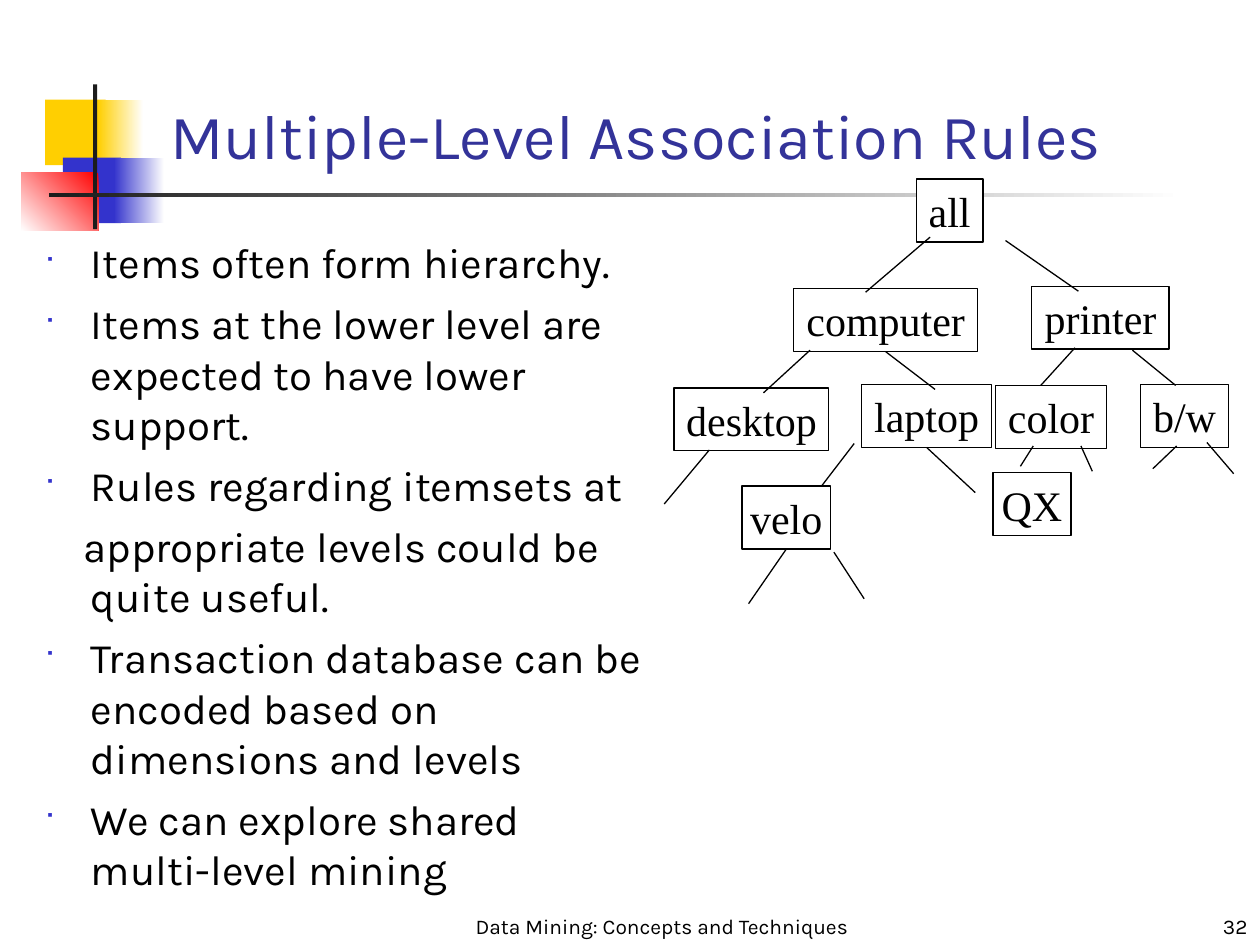
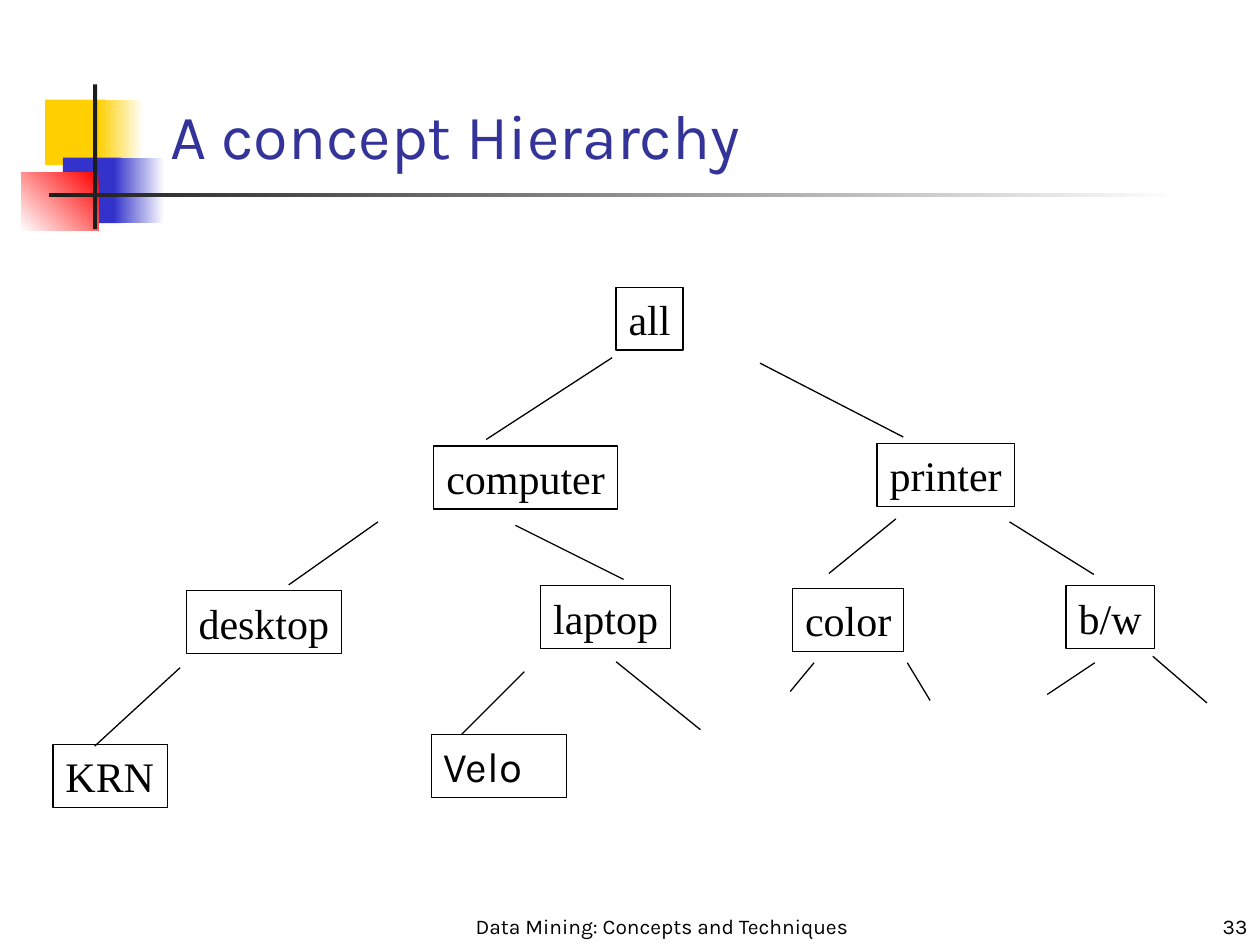
from lxml.etree import SubElement
from pptx import Presentation
from pptx.dml.color import RGBColor
from pptx.enum.shapes import MSO_CONNECTOR, MSO_SHAPE
from pptx.enum.text import MSO_ANCHOR, MSO_AUTO_SIZE, PP_ALIGN
from pptx.oxml.ns import qn
from pptx.util import Cm, Pt

COLORS = {
    "title": "333399", "text": "000000", "paper": "FFFFFF", "yellow": "FFCF01",
    "blue": "3333CC", "red": "FF0000", "rule": "1C1C1C",
}
HEADING_FONT, NODE_FONT = "Karla", "Times New Roman"
FOOTER = "Data Mining: Concepts and Techniques"

# Left, top, width, height in cm; colours; gradient angle
ORNAMENTS = [
    ((0.91, 2.01, 1.22, 1.32), ["yellow"], 0),
    ((1.98, 2.01, 0.91, 1.32), ["paper", "yellow"], 180),
    ((1.27, 3.18, 1.17, 1.32), ["blue"], 0),
    ((2.29, 3.18, 1.02, 1.32), ["paper", "blue"], 180),
    ((0.43, 3.48, 1.55, 1.17), ["red", "paper"], 225),
    ((1.88, 1.7, 0.08, 2.92), ["rule"], 0),
    ((0.99, 3.89, 22.86, 0.08), ["paper", "rule"], 180),
]

NODE_HEIGHT = 1.27
NODE_WIDTHS = {
    "all": 1.35, "printer": 2.77, "computer": 3.71, "desktop": 3.12, "laptop": 2.62,
    "color": 2.24, "b/w": 1.78, "velo": 1.78, "QX": 1.57, "KRN": 2.31, "Velo": 2.74,
}

# Bullet text and whether it carries a marker
RULES = [
    ("Items often form hierarchy.", True),
    ("Items at the lower level are expected to have lower support.", True),
    ("Rules regarding itemsets at", True),
    ("appropriate levels could be quite useful.", False),
    ("Transaction database can be encoded based on dimensions and levels", True),
    ("We can explore shared multi-level mining", True),
]

# Node positions (left, top) and branches (start, end);
# a label as start means the middle of that node's bottom side
COMPACT_NODES = {
    "all": (18.47, 3.61), "printer": (20.8, 5.77), "computer": (16, 5.82),
    "desktop": (13.59, 7.82), "velo": (14.96, 9.8), "laptop": (17.37, 7.75),
    "b/w": (22.99, 7.75), "color": (20.07, 7.77), "QX": (20.02, 9.53),
}
COMPACT_BRANCHES = [
    ((18.75, 4.78), (17.45, 5.89)), ((20.27, 4.85), (21.74, 5.87)),
    ((16.33, 7.06), (15.39, 7.92)), ("computer", (18.85, 7.85)),
    ((17.22, 8.94), (16.56, 9.8)), ("laptop", (19.66, 9.93)),
    ((21.67, 7.01), (20.98, 7.77)), ((22.83, 7.06), (23.7, 7.77)),
    ((14.3, 9.07), (13.39, 10.16)), ("velo", (15.09, 12.17)),
    ((16.81, 11.13), (17.42, 12.07)), ((20.83, 8.99), (20.57, 9.4)),
    ((21.79, 8.99), (22.02, 9.5)), ((23.72, 8.99), (23.24, 9.45)),
    ((24.33, 8.92), (24.87, 9.55)),
]
WIDE_NODES = {
    "all": (12.42, 5.79), "printer": (17.68, 8.94), "computer": (8.74, 8.99),
    "desktop": (3.76, 11.91), "KRN": (1.07, 15.01), "laptop": (10.9, 11.81),
    "b/w": (21.49, 11.81), "color": (15.98, 11.86), "Velo": (8.69, 14.81),
}
WIDE_BRANCHES = [
    ((12.34, 7.21), (9.8, 8.86)), ((15.32, 7.32), (18.21, 8.81)),
    ((7.62, 10.52), (5.82, 11.79)), ((10.39, 10.59), (12.57, 11.68)),
    ((10.57, 13.54), (9.3, 14.81)), ((12.42, 13.34), (14.12, 14.71)),
    ((18.06, 10.46), (16.71, 11.56)), ((20.35, 10.52), (22.05, 11.58)),
    ((3.63, 13.46), (1.91, 15.04)), ((16.41, 13.36), (15.93, 13.94)),
    ((18.29, 13.36), (18.75, 14.12)), ((22.07, 13.36), (21.11, 14)),
    ((23.24, 13.23), (24.33, 14.17)),
]


def rgb(name):
    return RGBColor.from_string(COLORS[name])


class Deck:
    """Holds the shared style and the slide being built."""

    def __init__(self):
        self.presentation = Presentation()
        self.presentation.slide_width = Cm(25.4)
        self.presentation.slide_height = Cm(19.05)
        self.slide = None

    def start_slide(self, layout_index, title, number):
        layout = self.presentation.slide_layouts[layout_index]
        self.slide = self.presentation.slides.add_slide(layout)
        for box, colors, angle in ORNAMENTS:
            self.ornament(box, colors, angle)
        heading = self.slide.shapes.title
        self.place(heading, (3.18, 1.9, 21.64, 1.7))
        self.set_text(heading, title, 36, PP_ALIGN.LEFT, MSO_ANCHOR.BOTTOM, color="title")
        self.footer((9.32, 17.98, 8.05, 1.07), FOOTER, PP_ALIGN.CENTER)
        self.footer((20.12, 17.98, 5.28, 1.07), number, PP_ALIGN.RIGHT)

    def place(self, shape, box):
        shape.left, shape.top, shape.width, shape.height = map(Cm, box)

    def format_runs(self, paragraph, size, font=HEADING_FONT, color="text"):
        for run in paragraph.runs:
            run.font.size, run.font.name = Pt(size), font
            run.font.color.rgb = rgb(color)

    def set_text(self, shape, text, size, alignment, anchor, font=HEADING_FONT, color="text"):
        frame = shape.text_frame
        frame.text = text
        frame.word_wrap = True
        frame.auto_size = MSO_AUTO_SIZE.NONE
        frame.vertical_anchor = anchor
        frame.paragraphs[0].alignment = alignment
        self.format_runs(frame.paragraphs[0], size, font, color)

    def rectangle(self, box):
        shape = self.slide.shapes.add_shape(MSO_SHAPE.RECTANGLE, *map(Cm, box))
        shape.shadow.inherit = False
        return shape

    def ornament(self, box, colors, angle):
        shape = self.rectangle(box)
        shape.line.fill.background()
        if len(colors) == 1:
            shape.fill.solid()
            shape.fill.fore_color.rgb = rgb(colors[0])
            return
        shape.fill.gradient()
        shape.fill.gradient_angle = angle
        for stop, color in zip(shape.fill.gradient_stops, colors):
            stop.color.rgb = rgb(color)

    def footer(self, box, text, alignment):
        shape = self.slide.shapes.add_textbox(*map(Cm, box))
        self.set_text(shape, text, 12, alignment, MSO_ANCHOR.BOTTOM)

    def bullets(self, box, items):
        body = self.slide.placeholders[1]
        self.place(body, box)
        frame = body.text_frame
        frame.auto_size = MSO_AUTO_SIZE.NONE
        for index, (text, marked) in enumerate(items):
            paragraph = frame.add_paragraph() if index else frame.paragraphs[0]
            paragraph.text = text
            paragraph.space_before = Pt(6)
            self.format_runs(paragraph, 24)
            self.bullet(paragraph, marked)

    def bullet(self, paragraph, marked):
        properties = paragraph._p.get_or_add_pPr()
        properties.set("marL", str(Cm(0.94)))
        properties.set("indent", str(Cm(-0.94 if marked else -0.15)))
        if not marked:
            SubElement(properties, qn("a:buNone"))
            return
        color = SubElement(properties, qn("a:buClr"))
        SubElement(color, qn("a:srgbClr")).set("val", COLORS["blue"])
        SubElement(properties, qn("a:buSzPct")).set("val", "60000")
        SubElement(properties, qn("a:buFont")).set("typeface", "Wingdings")
        SubElement(properties, qn("a:buChar")).set("char", "■")

    def node(self, label, position):
        shape = self.rectangle((*position, NODE_WIDTHS[label], NODE_HEIGHT))
        shape.fill.solid()
        shape.fill.fore_color.rgb = rgb("paper")
        shape.line.color.rgb = rgb("text")
        shape.line.width = Pt(0.5 if label == "Velo" else 0.75)
        maker = label in ("KRN", "Velo")
        self.set_text(shape, label, 24, PP_ALIGN.LEFT if maker else PP_ALIGN.CENTER,
                      MSO_ANCHOR.MIDDLE, HEADING_FONT if label == "Velo" else NODE_FONT)
        shape.text_frame.word_wrap = maker
        return shape

    def branch(self, start, end, nodes):
        joined = isinstance(start, str)
        begin = end if joined else start
        line = self.slide.shapes.add_connector(
            MSO_CONNECTOR.STRAIGHT, *map(Cm, (*begin, *end)))
        if joined:
            line.begin_connect(nodes[start], 2)
        line.line.color.rgb = rgb("text")
        line.line.width = Pt(0.75)
        SubElement(line._element.spPr, qn("a:effectLst"))

    def tree(self, positions, branches):
        nodes = {label: self.node(label, position) for label, position in positions.items()}
        for start, end in branches:
            self.branch(start, end, nodes)


def main():
    deck = Deck()

    # Rules beside a compact tree
    deck.start_slide(1, "Multiple-Level Association Rules", "32")
    deck.bullets((0.64, 4.65, 12.7, 13.54), RULES)
    deck.tree(COMPACT_NODES, COMPACT_BRANCHES)

    # The tree across the whole slide
    deck.start_slide(5, "A concept Hierarchy", "33")
    deck.tree(WIDE_NODES, WIDE_BRANCHES)

    deck.presentation.save("out.pptx")


if __name__ == "__main__":
    main()
